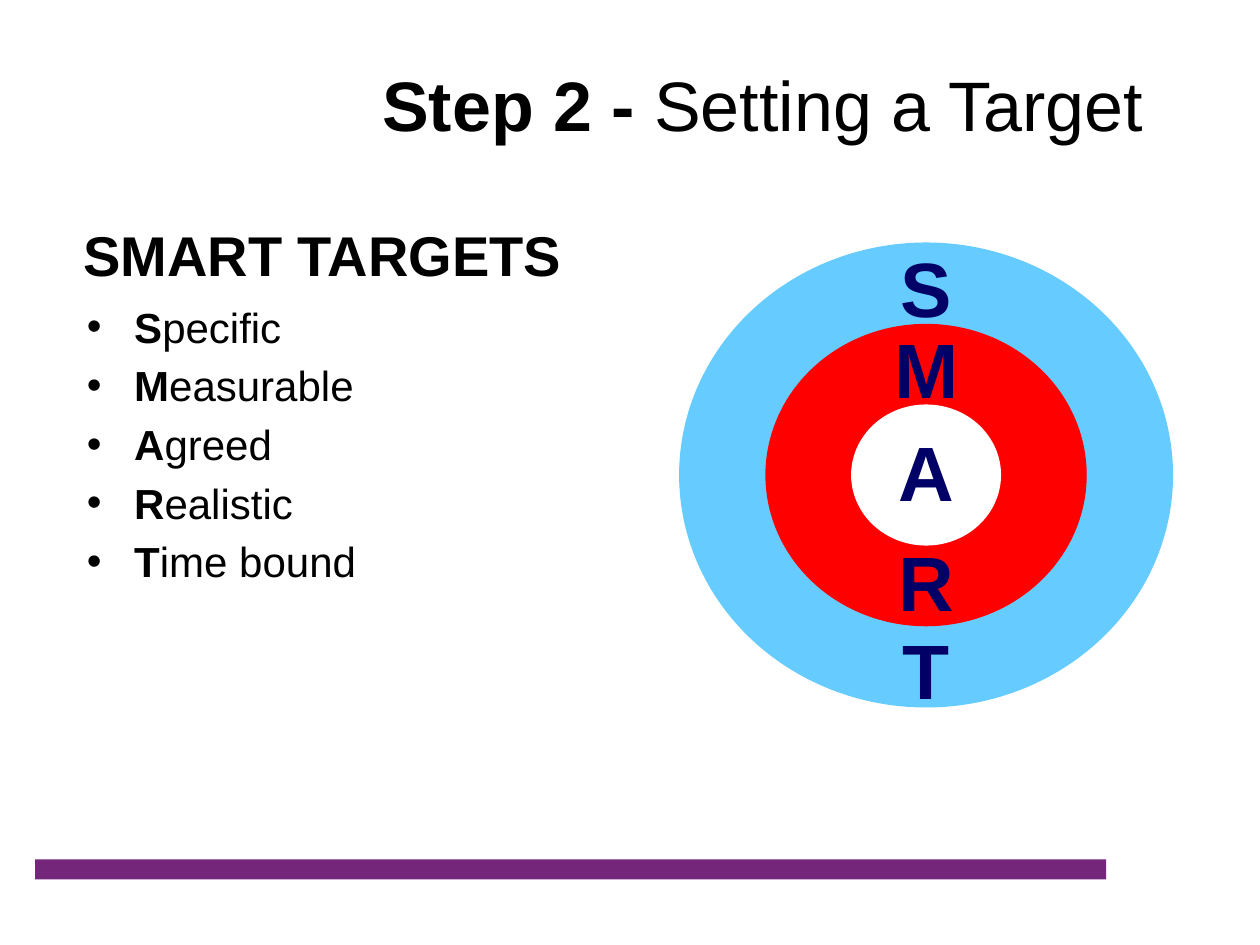
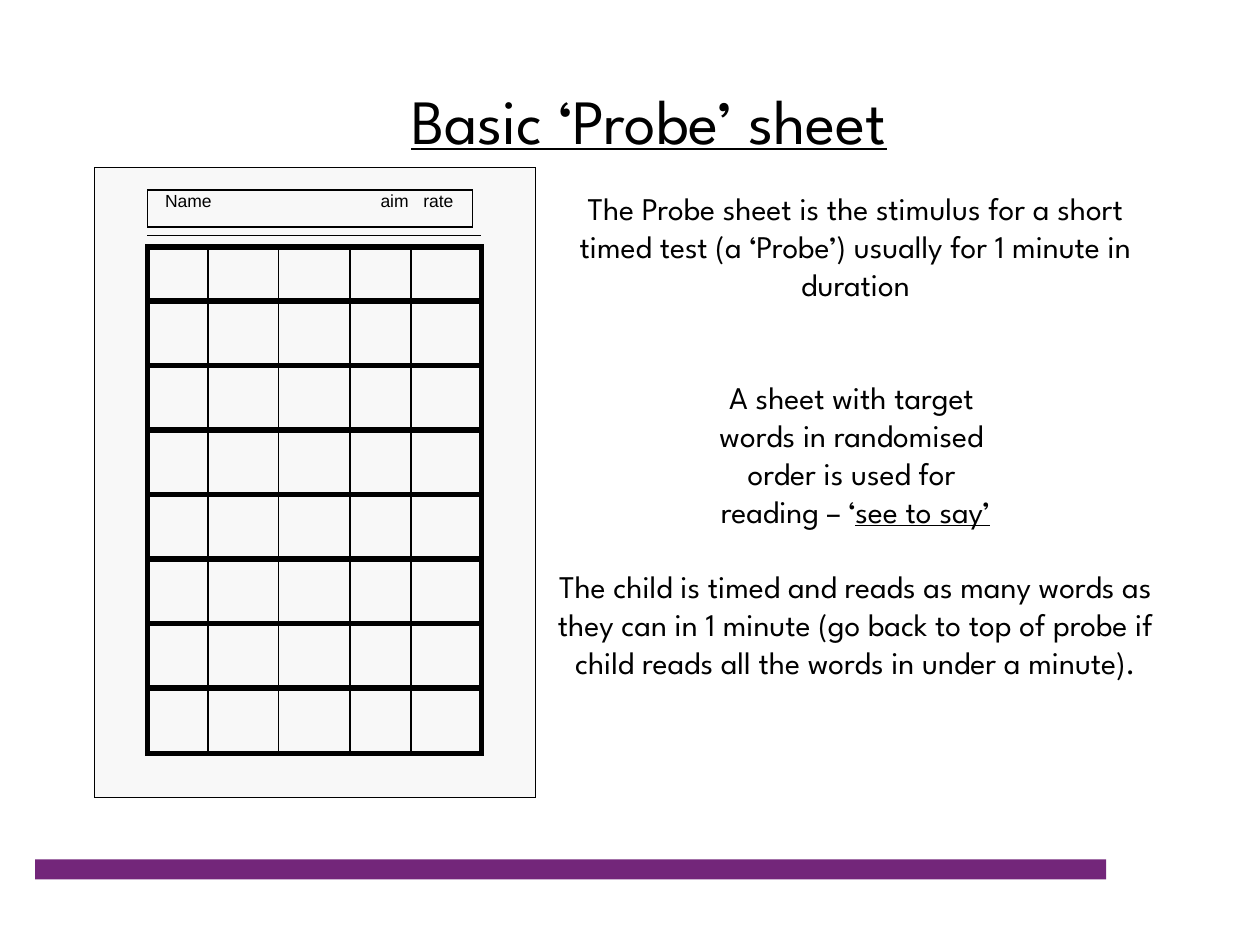
from lxml import etree
from pptx import Presentation
from pptx.dml.color import RGBColor
from pptx.enum.shapes import MSO_CONNECTOR, MSO_SHAPE
from pptx.enum.text import MSO_ANCHOR, MSO_AUTO_SIZE, PP_ALIGN
from pptx.oxml.ns import qn
from pptx.util import Inches, Pt

RECT, OVAL = MSO_SHAPE.RECTANGLE, MSO_SHAPE.OVAL
LINE = MSO_CONNECTOR.STRAIGHT
TOP, MIDDLE, BOTTOM = MSO_ANCHOR.TOP, MSO_ANCHOR.MIDDLE, MSO_ANCHOR.BOTTOM
LEFT, CENTER, RIGHT = PP_ALIGN.LEFT, PP_ALIGN.CENTER, PP_ALIGN.RIGHT
NO_FIT = MSO_AUTO_SIZE.NONE

BLACK, WHITE, PURPLE = "000000", "FFFFFF", "73267A"
SKY, RED, NAVY, PAPER = "66CCFF", "FF0000", "000066", "F8F8F8"
PLAIN, ROUNDED = "Arial", "League Spartan"


def paint(item, fill=None, line=None, width=1):
    """Colour a shape, or a connector when no fill is given, without shadow."""
    if line:
        item.line.color.rgb = RGBColor.from_string(line)
        item.line.width = Pt(width)
        outline = item._element.spPr.find(qn("a:ln"))
        etree.SubElement(outline, qn("a:miter"), lim="800000")
    else:
        item.line.fill.background()
    if fill:
        item.fill.solid()
        item.fill.fore_color.rgb = RGBColor.from_string(fill)
        item.shadow.inherit = False
    else:
        etree.SubElement(item._element.spPr, qn("a:effectLst"))


def write(paragraph, runs, size, font=PLAIN, align=CENTER, color=BLACK):
    """Fill a paragraph with (text, font settings) pairs."""
    paragraph.alignment = align
    for text, settings in runs:
        run = paragraph.add_run()
        run.text = text
        run.font.name = font
        run.font.size = Pt(size)
        run.font.color.rgb = RGBColor.from_string(color)
        for name, value in settings.items():
            setattr(run.font, name, value)


prs = Presentation()
prs.slide_width, prs.slide_height = Inches(10), Inches(7.5)

# Shared frame: layout, band and title
titles = [
    dict(layout=1, box=(0.67, 0.2, 8.5, 1.25), anchor=MIDDLE, size=40,
         font=PLAIN, align=RIGHT,
         runs=[("Step 2 -", {"bold": True}), (" Setting a Target", {})]),
    dict(layout=5, box=(1.38, 0.64, 7.54, 0.61), anchor=BOTTOM, size=36,
         font=ROUNDED, align=CENTER,
         runs=[("Basic ‘Probe’ sheet", {"underline": True})]),
]
slides = []
for look in titles:
    slide = prs.slides.add_slide(prs.slide_layouts[look["layout"]])
    band = slide.shapes.add_shape(
        RECT, Inches(0.28), Inches(6.82), Inches(8.5), Inches(0.16))
    paint(band, PURPLE)
    title = slide.shapes.title
    title.left, title.top, title.width, title.height = map(Inches, look["box"])
    frame = title.text_frame
    frame.auto_size = NO_FIT
    frame.vertical_anchor = look["anchor"]
    if look["anchor"] == BOTTOM:
        frame.margin_top = frame.margin_bottom = 0
    write(frame.paragraphs[0], look["runs"], look["size"], look["font"], look["align"])
    slides.append(slide)
smart_slide, probe_slide = slides

# Slide 1: SMART list
smart_list = smart_slide.placeholders[1]
smart_list.left, smart_list.top = Inches(0.59), Inches(2.34)
smart_list.width, smart_list.height = Inches(3.86), Inches(3.78)
frame = smart_list.text_frame
frame.auto_size = NO_FIT
for i, word in enumerate(["Specific", "Measurable", "Agreed", "Realistic", "Time bound"]):
    paragraph = frame.paragraphs[0] if i == 0 else frame.add_paragraph()
    paragraph.space_before = Pt(4.7 if i else 0)
    write(paragraph, [(word[0], {"bold": True}), (word[1:], {})], 24, align=LEFT)

heading = smart_slide.shapes.add_textbox(
    Inches(0.35), Inches(1.63), Inches(4.42), Inches(0.7))
heading.text_frame.word_wrap = True
heading.text_frame.vertical_anchor = BOTTOM
write(heading.text_frame.paragraphs[0], [("SMART TARGETS", {"bold": True})], 32)

# Slide 1: concentric target with one letter per band
center_x, center_y = 7.35, 3.77
target = smart_slide.shapes.add_group_shape().shapes
for width, height, color in [(3.91, 3.68, SKY), (2.54, 2.39, RED), (1.18, 1.11, WHITE)]:
    ring = target.add_shape(OVAL, Inches(center_x - width / 2),
                            Inches(center_y - height / 2), Inches(width), Inches(height))
    paint(ring, color, color, 0.75)
for initial, top in zip("SMART", [1.86, 2.5, 3.32, 4.19, 4.89]):
    letter = target.add_textbox(Inches(center_x - 0.35), Inches(top), Inches(0.7), Inches(0.83))
    letter.text_frame.word_wrap = False
    letter.text_frame.vertical_anchor = MIDDLE
    write(letter.text_frame.paragraphs[0], [(initial, {"bold": True})], 44, color=NAVY)

# Slide 2: blank probe sheet
sheet = probe_slide.shapes.add_group_shape().shapes
left, right, top, bottom = 1.17, 3.82, 1.96, 5.98
first_row, last_row = 2.39, 5.46
for x, y, width, height, weight in [
    (0.75, 1.33, 3.5, 5, 1),
    (left, top, right - left, bottom - top, 3),
    (left, 1.51, 2.58, 0.29, 1),
]:
    panel = sheet.add_shape(RECT, Inches(x), Inches(y), Inches(width), Inches(height))
    paint(panel, PAPER, BLACK, weight)

row_lines = [first_row + (last_row - first_row) * row / 6 for row in range(7)]
rules = [(left, 1.87, right, 1.87, 1)]
rules += [(left, y, right, y, 3) for y in row_lines]
rules += [(x, top, x, bottom, 1) for x in (1.65, 2.21, 2.78, 3.26)]
for x1, y1, x2, y2, weight in rules:
    rule = sheet.add_connector(LINE, Inches(x1), Inches(y1), Inches(x2), Inches(y2))
    paint(rule, line=BLACK, width=weight)

# The last panel is the header strip; tab stops place its labels
frame = panel.text_frame
frame.vertical_anchor = TOP
frame.margin_left = Inches(0.14)
frame.margin_top = frame.margin_right = frame.margin_bottom = 0
labels = frame.paragraphs[0]
tabs = etree.SubElement(labels._p.get_or_add_pPr(), qn("a:tabLst"))
for stop in (1.71, 2.05):
    etree.SubElement(tabs, qn("a:tab"), pos=str(Inches(stop)), algn="l")
write(labels, [("Name\taim\trate", {})], 10, align=LEFT)

# Slide 2: explanation, as (space before, runs)
explanation = [
    (0, [("The Probe sheet is the stimulus for a short timed test (a ‘Probe’) "
          "usually for 1 minute in duration", {})]),
    (43.4, [("A sheet with target ", {})]),
    (0, [("words in randomised ", {})]),
    (0, [("order is used for ", {})]),
    (0, [("reading – ‘", {}), ("see to say’", {"underline": True})]),
    (21.7, [("The child is timed and reads as many words as they can in 1 minute "
             "(go back to top of probe if child reads all the words in under a minute).", {})]),
]
notes = probe_slide.shapes.add_textbox(Inches(4.37), Inches(1.5), Inches(4.84), Inches(4))
frame = notes.text_frame
frame.word_wrap = True
frame.margin_left = frame.margin_top = frame.margin_right = frame.margin_bottom = 0
for i, (gap, runs) in enumerate(explanation):
    paragraph = frame.paragraphs[0] if i == 0 else frame.add_paragraph()
    paragraph.space_before = Pt(gap)
    write(paragraph, runs, 18, ROUNDED)

prs.save("out.pptx")
